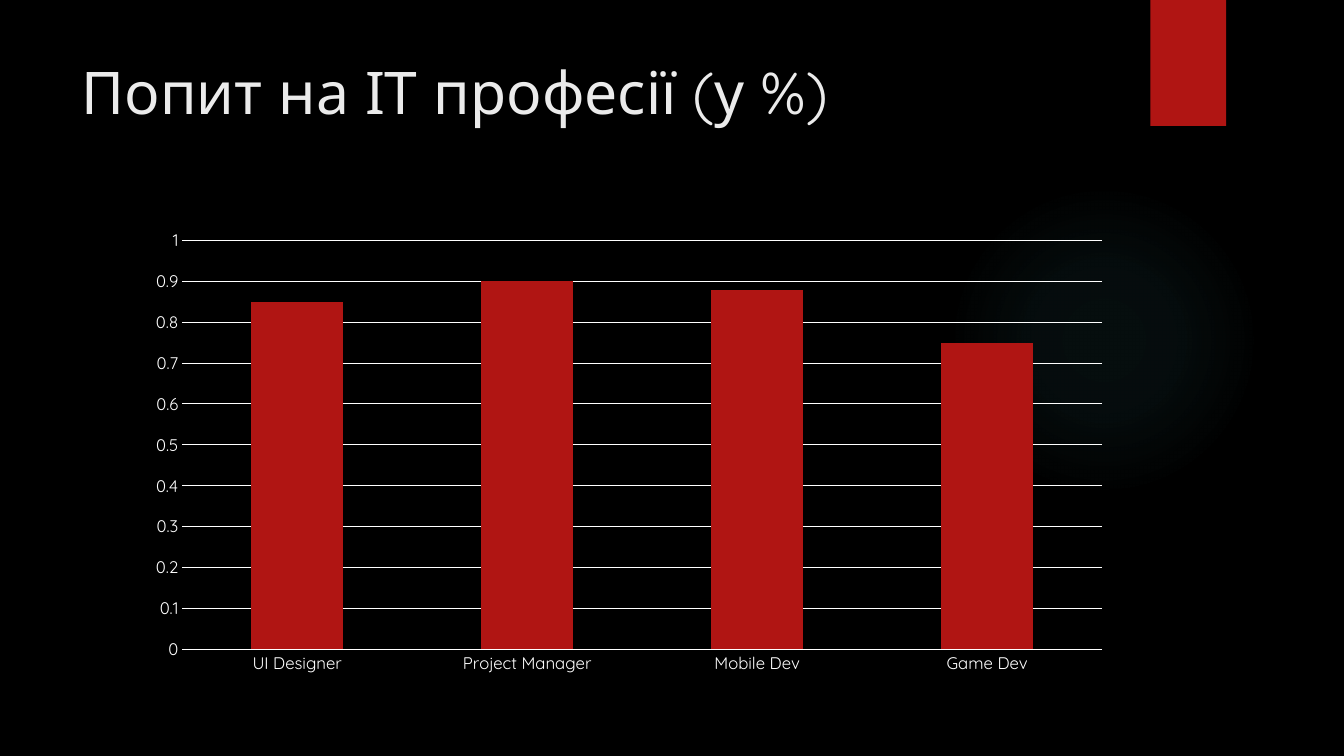
from lxml import etree
from pptx import Presentation
from pptx.chart.data import CategoryChartData
from pptx.dml.color import RGBColor
from pptx.enum.chart import XL_CHART_TYPE, XL_TICK_MARK
from pptx.enum.shapes import MSO_SHAPE
from pptx.enum.text import MSO_ANCHOR, MSO_AUTO_SIZE, PP_ALIGN
from pptx.oxml import parse_xml
from pptx.oxml.ns import nsdecls, qn
from pptx.util import Pt

COLUMNS = XL_CHART_TYPE.COLUMN_CLUSTERED
NO_TICKS = XL_TICK_MARK.NONE
RECTANGLE, OVAL = MSO_SHAPE.RECTANGLE, MSO_SHAPE.OVAL
TOP, LEFT = MSO_ANCHOR.TOP, PP_ALIGN.LEFT
NO_AUTOFIT = MSO_AUTO_SIZE.NONE

BLACK = RGBColor(0x00, 0x00, 0x00)
WHITE = RGBColor(0xFF, 0xFF, 0xFF)
OFF_WHITE = RGBColor(0xEB, 0xEB, 0xEB)
RED = RGBColor(0xB0, 0x15, 0x13)
TEAL = RGBColor(0x50, 0xB9, 0xC1)
FONT = "Quicksand"

# Position and opacity of each glow stop, in percent
GLOW_STOPS = [(0, 7), (36, 6), (69, 0)]
DEMAND = {
    "UI Designer": 0.85,
    "Project Manager": 0.9,
    "Mobile Dev": 0.88,
    "Game Dev": 0.75,
}


def set_font(font, size, color):
    font.name = FONT
    font.size = Pt(size)
    font.bold = False
    font.color.rgb = color


def add_plain_shape(slide, preset, left, top, width, height, color):
    shape = slide.shapes.add_shape(preset, Pt(left), Pt(top), Pt(width), Pt(height))
    shape.shadow.inherit = False
    shape.fill.solid()
    shape.fill.fore_color.rgb = color
    shape.line.fill.background()
    return shape


def add_glow(slide, left, top, diameter):
    """Add a circle that fades from its centre to full transparency."""
    glow = add_plain_shape(slide, OVAL, left, top, diameter, diameter, TEAL)
    gradient = parse_xml(
        f'<a:gradFill {nsdecls("a")} rotWithShape="1"><a:gsLst/>'
        '<a:path path="circle">'
        '<a:fillToRect l="50000" t="50000" r="50000" b="50000"/>'
        "</a:path></a:gradFill>"
    )
    stops = gradient.find(qn("a:gsLst"))
    for position, opacity in GLOW_STOPS:
        stop = etree.SubElement(stops, qn("a:gs"), pos=str(position * 1000))
        color = etree.SubElement(stop, qn("a:srgbClr"), val=str(TEAL))
        etree.SubElement(color, qn("a:alpha"), val=str(opacity * 1000))
    properties = glow.element.spPr
    properties.replace(properties.find(qn("a:solidFill")), gradient)


def set_title(slide, text):
    title = slide.shapes.title
    title.left, title.top = Pt(51), Pt(36)
    title.width, title.height = Pt(741), Pt(110)
    frame = title.text_frame
    frame.word_wrap = True
    frame.auto_size = NO_AUTOFIT
    frame.vertical_anchor = TOP
    paragraph = frame.paragraphs[0]
    paragraph.alignment = LEFT
    run = paragraph.add_run()
    run.text = text
    set_font(run.font, 42, OFF_WHITE)


def format_axis(axis):
    axis.major_tick_mark = axis.minor_tick_mark = NO_TICKS
    axis.format.line.fill.background()
    set_font(axis.tick_labels.font, 12, WHITE)


def add_demand_chart(slide):
    data = CategoryChartData()
    data.categories = DEMAND.keys()
    data.add_series("Series 1", DEMAND.values())
    chart = slide.shapes.add_chart(
        COLUMNS, Pt(97.2), Pt(157.7), Pt(704.2), Pt(330.5), data
    ).chart
    chart.has_legend = False
    chart.has_title = False
    set_font(chart.font, 10, WHITE)

    for axis in (chart.category_axis, chart.value_axis):
        format_axis(axis)
    scale = chart.value_axis
    scale.minimum_scale, scale.maximum_scale, scale.major_unit = 0, 1, 0.1
    scale.has_major_gridlines = True
    gridline = scale.major_gridlines.format.line
    gridline.color.rgb = WHITE
    gridline.width = Pt(0.75)

    plot = chart.plots[0]
    plot.gap_width = 150
    plot.vary_by_categories = False
    bars = plot.series[0].format
    bars.fill.solid()
    bars.fill.fore_color.rgb = RED
    bars.line.fill.background()


def main():
    deck = Presentation()
    deck.slide_width, deck.slide_height = Pt(960), Pt(540)
    title_only = deck.slide_layouts[5]
    slide = deck.slides.add_slide(title_only)
    slide.background.fill.solid()
    slide.background.fill.fore_color.rgb = BLACK
    add_glow(slide, 677.5, 131.8, 221.8)
    add_plain_shape(slide, RECTANGLE, 821.8, 0, 54, 90, RED)
    set_title(slide, "Попит на ІТ професії (у %)")
    add_demand_chart(slide)
    deck.save("out.pptx")


if __name__ == "__main__":
    main()
